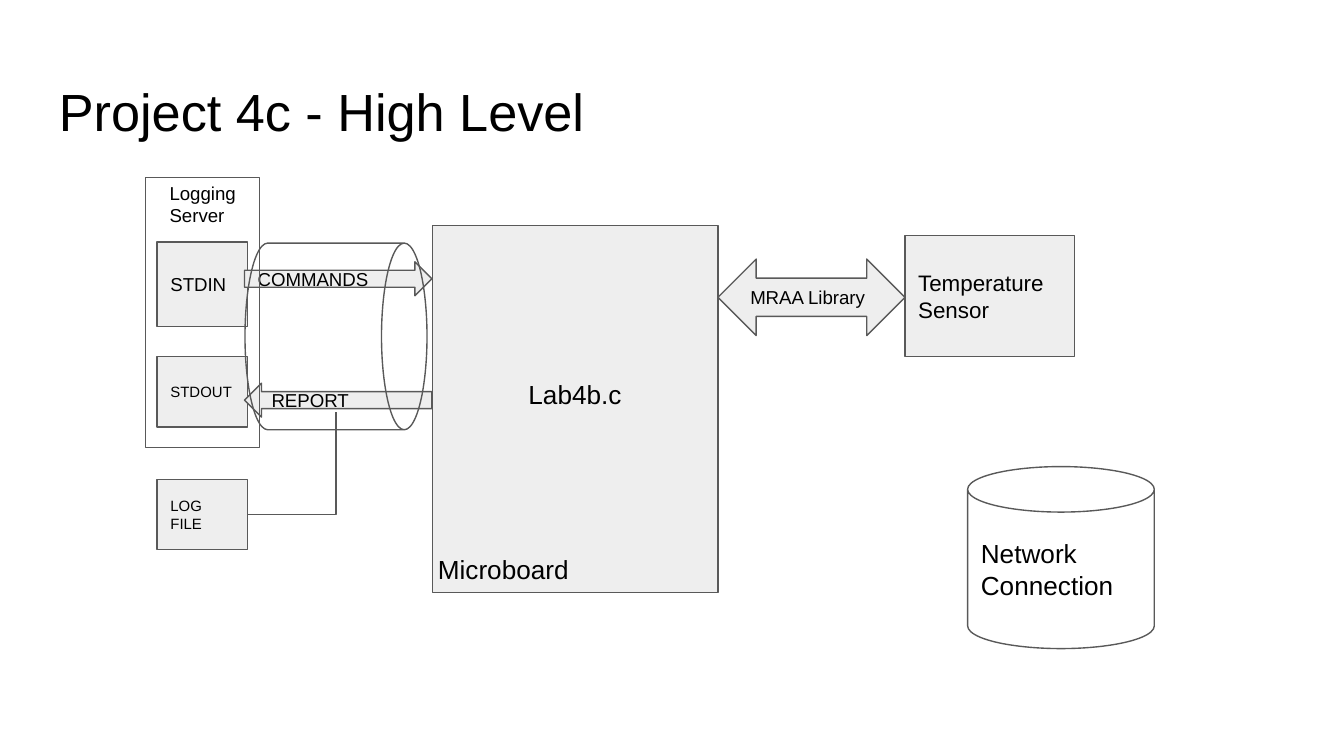
from lxml.etree import SubElement
from pptx import Presentation
from pptx.dml.color import RGBColor
from pptx.enum.shapes import MSO_CONNECTOR, MSO_SHAPE
from pptx.enum.text import MSO_ANCHOR, PP_ALIGN
from pptx.oxml.ns import qn
from pptx.util import Pt

COLORS = {"fill": "EEEEEE", "line": "595959", "text": "000000"}
FONT = "Arial"
INSET = 7.2
LINE_WIDTH = 0.75

# Shared positions
BOX_X, BOX_W = 84.2, 48.4
PIPE_X, PIPE_W, PIPE_H = 131, 100.4, 18.2
BOARD_X, BOARD_W = 231.6, 153
SENSOR_X = 484.8
CAN_SIZE = (100, 97.5)

# (text, size, left, top, width, height)
TITLE = ("Project 4c - High Level", 28, 24.5, 35.3, 671, 45.4)
BOARD_LABEL = ("Microboard", 14, 227.5, 289.4, 100, 18)
SERVER_LABEL = ("Logging\vServer", 10, 83.8, 90, 55.4, 18)

# (kind, text, size, left, top, width, height, options), back to front
BOARD = [
    (MSO_SHAPE.RECTANGLE, "Lab4b.c", 14, BOARD_X, 120.8, BOARD_W, 196.6,
     {"align": PP_ALIGN.CENTER, "bottom": 23.4}),
    (MSO_SHAPE.RECTANGLE, "Temperature Sensor", 12, SENSOR_X, 126.2, 91, 64.8, {}),
    (MSO_SHAPE.LEFT_RIGHT_ARROW, "MRAA Library", 10, BOARD_X + BOARD_W, 138.8,
     SENSOR_X - BOARD_X - BOARD_W, 41, {}),
]
STREAMS = [
    (MSO_SHAPE.RECTANGLE, "STDIN", 10, BOX_X, 129.6, BOX_W, 45.2, {}),
    (MSO_SHAPE.RIGHT_ARROW, "COMMANDS", 10, PIPE_X, 140.3, PIPE_W, PIPE_H, {}),
    (MSO_SHAPE.RECTANGLE, "STDOUT", 8, BOX_X, 190.9, BOX_W, 37.8, {}),
    (MSO_SHAPE.LEFT_ARROW, "REPORT", 10, PIPE_X, 205.3, PIPE_W, PIPE_H, {"left": 10}),
    (MSO_SHAPE.RECTANGLE, "LOG\nFILE", 8, BOX_X, 256.8, BOX_W, 37.8, {}),
]
OUTLINES = [
    (MSO_SHAPE.CAN, "", 10, 130, 131.5, *CAN_SIZE, {"filled": False, "rotation": 90}),
    (MSO_SHAPE.CAN, "Network Connection", 14, 518.4, 250, *CAN_SIZE, {"filled": False}),
    (MSO_SHAPE.RECTANGLE, "", 10, 77.8, 95, 61.2, 144.8, {"filled": False}),
]
LOG_BRANCH = ((180, 221), (BOX_X + BOX_W, 275.8))


def rgb(name):
    """Return the named colour."""
    return RGBColor.from_string(COLORS[name])


def write(sp, text, size, align=PP_ALIGN.LEFT, left=INSET, bottom=INSET):
    """Put formatted text into a shape or text box."""
    tf = sp.text_frame
    tf.word_wrap = True
    tf.margin_top = tf.margin_right = Pt(INSET)
    tf.margin_left, tf.margin_bottom = Pt(left), Pt(bottom)
    tf.text = text
    for p in tf.paragraphs:
        p.alignment = align
        for r in p.runs:
            r.font.size, r.font.name = Pt(size), FONT
            r.font.color.rgb = rgb("text")


def add_label(s, text, size, *box):
    """Add a text box."""
    write(s.shapes.add_textbox(*map(Pt, box)), text, size)


def add_node(s, kind, text, size, left, top, width, height, options):
    """Add an outlined shape with optional fill, rotation and text."""
    options = dict(options)
    filled = options.pop("filled", True)
    rotation = options.pop("rotation", 0)
    sp = s.shapes.add_shape(kind, Pt(left), Pt(top), Pt(width), Pt(height))
    sp.shadow.inherit = False
    sp.rotation = rotation
    if filled:
        sp.fill.solid()
        sp.fill.fore_color.rgb = rgb("fill")
    else:
        sp.fill.background()
    sp.line.color.rgb = rgb("line")
    sp.line.width = Pt(LINE_WIDTH)
    if text:
        sp.text_frame.vertical_anchor = MSO_ANCHOR.MIDDLE
        write(sp, text, size, **options)


def add_corner(s, start, end):
    """Add a one-bend line that runs down from start, then left to end."""
    (x1, y1), (x2, y2) = start, end
    run, drop = x1 - x2, y2 - y1
    left, top = (x1 + x2 - drop) / 2, (y1 + y2 - run) / 2
    line = s.shapes.add_connector(MSO_CONNECTOR.ELBOW, Pt(left), Pt(top),
                                  Pt(left + drop), Pt(top + run))
    line.line.color.rgb = rgb("line")
    line.line.width = Pt(LINE_WIDTH)
    props = line._element.spPr
    props.find(qn("a:xfrm")).set("rot", "5400000")
    props.find(qn("a:prstGeom")).set("prst", "bentConnector2")
    SubElement(props, qn("a:effectLst"))


prs = Presentation()
prs.slide_width, prs.slide_height = Pt(720), Pt(405)
s = prs.slides.add_slide(prs.slide_layouts[6])

add_label(s, *TITLE)
for node in BOARD:
    add_node(s, *node)
add_label(s, *BOARD_LABEL)
for node in STREAMS:
    add_node(s, *node)
add_corner(s, *LOG_BRANCH)
for node in OUTLINES:
    add_node(s, *node)
add_label(s, *SERVER_LABEL)

prs.save("out.pptx")
